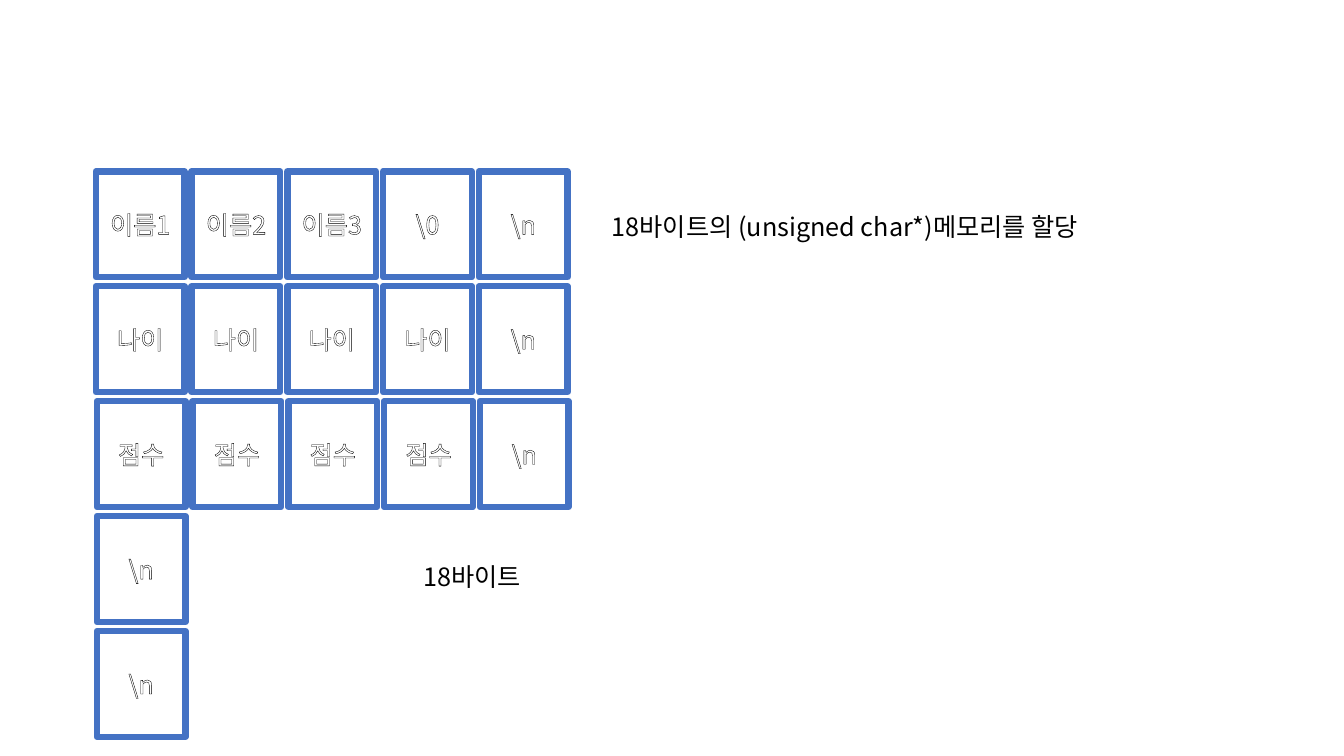
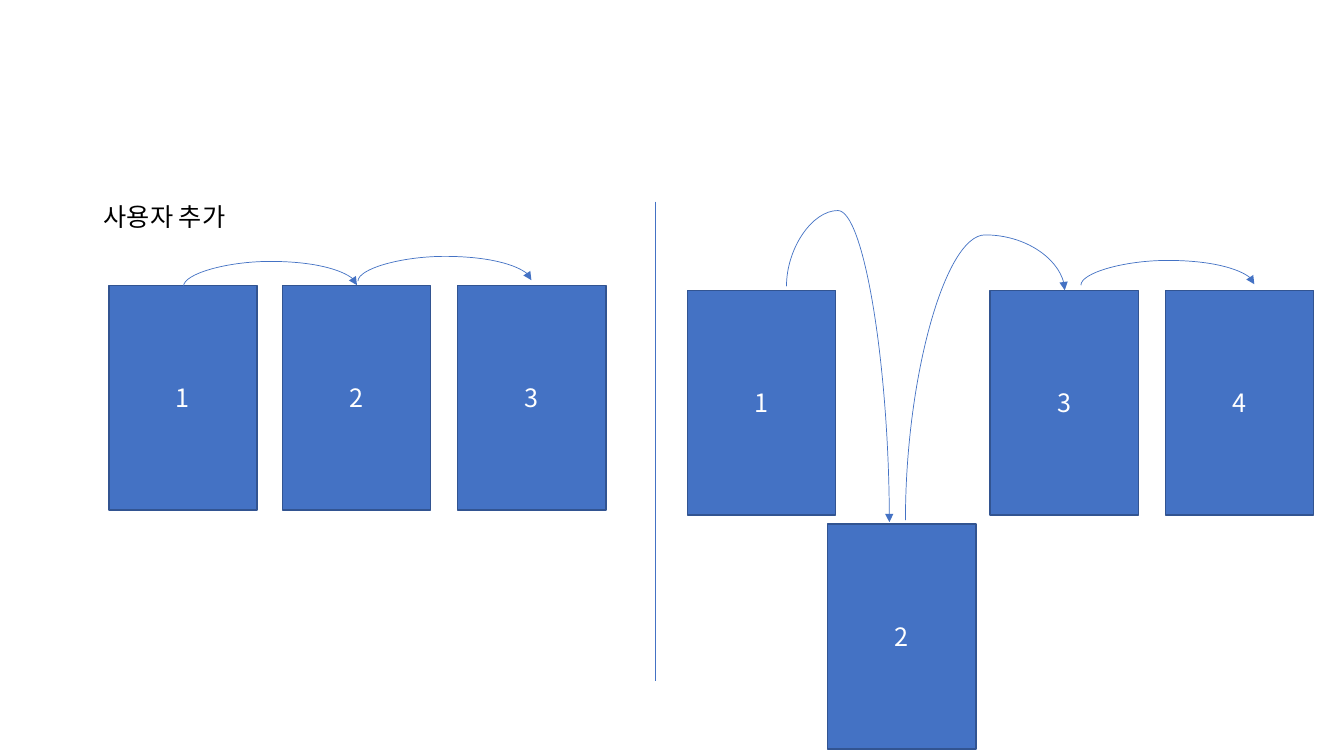
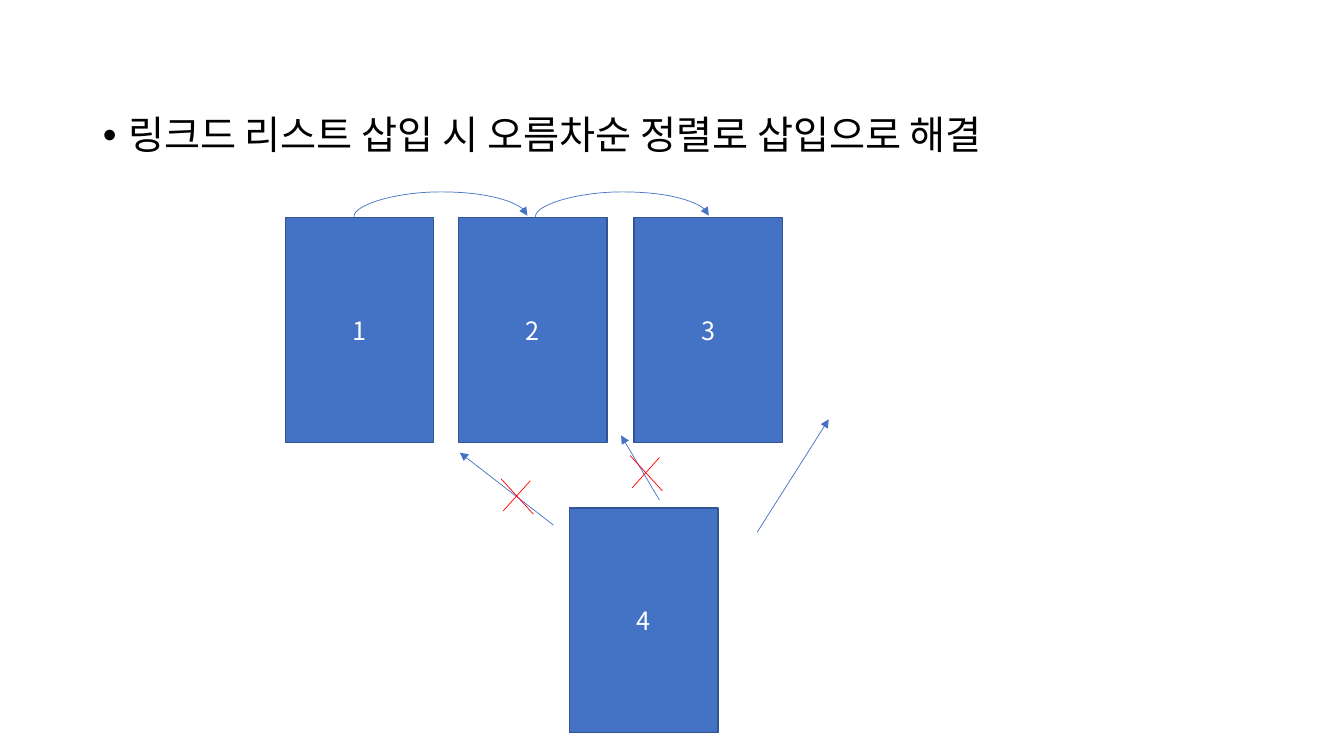
"""Build three slides on byte layout and linked list insertion."""
from lxml import etree
from pptx import Presentation
from pptx.dml.color import RGBColor
from pptx.enum.shapes import MSO_CONNECTOR, MSO_SHAPE
from pptx.enum.text import MSO_ANCHOR, MSO_AUTO_SIZE, PP_ALIGN
from pptx.oxml.ns import qn
from pptx.util import Inches, Pt

RECTANGLE = MSO_SHAPE.RECTANGLE
STRAIGHT, CURVE = MSO_CONNECTOR.STRAIGHT, MSO_CONNECTOR.CURVE
CENTER, MIDDLE, TOP = PP_ALIGN.CENTER, MSO_ANCHOR.MIDDLE, MSO_ANCHOR.TOP
GROW, FIXED = MSO_AUTO_SIZE.SHAPE_TO_FIT_TEXT, MSO_AUTO_SIZE.NONE

FONT = "Noto Sans CJK KR"
BLUE = RGBColor(0x44, 0x72, 0xC4)
DARK_BLUE = RGBColor(0x32, 0x54, 0x91)
RED = RGBColor(0xFF, 0x00, 0x00)
WHITE = RGBColor(0xFF, 0xFF, 0xFF)
BLACK = RGBColor(0x00, 0x00, 0x00)

CELL_SIZE = (0.88, 1.05)
CELL_PITCH = (0.95, 1.14)
CELL_TOP = 1.7
NODE_SIZE = (1.47, 2.23)
ARC_SPAN, ARC_DROP, ARC_HEIGHT = 1.72, 0.01, 0.25

MEMORY_ROWS = [
    (0.95, ["이름1", "이름2", "이름3", "\\0", "\\n"]),
    (0.95, ["나이"] * 4 + ["\\n"]),
    (0.96, ["점수"] * 4 + ["\\n"]),
    (0.96, ["\\n"]),
    (0.96, ["\\n"]),
]
MEMORY_LABELS = [
    ("18바이트", 4.1, 5.52, 1.41),
    ("18바이트의 (unsigned char*)메모리를 할당", 5.97, 2.05, 6.43),
]

ADD_LABEL = ("사용자 추가", 0.93, 1.95, 5.22)
ADD_NODES = [
    ("1", 1.08, 2.83), ("2", 2.8, 2.83), ("3", 4.54, 2.83),
    ("1", 6.82, 2.88), ("3", 9.82, 2.88), ("4", 11.56, 2.88),
    ("2", 8.21, 5.2),
]
ADD_ARCS = [(1.82, 2.84), (3.55, 2.79), (10.72, 2.83)]
DETOURS = [
    ((7.8, 2.84), (8.82, 5.18), 2.09),
    ((8.98, 5.16), (10.56, 2.88), 2.33),
]
DIVIDER = ((6.5, 2), (6.5, 6.76))

SORT_TEXT = "링크드 리스트 삽입 시 오름차순 정렬로 삽입으로 해결"
SORT_NODES = [("1", 2.83, 2.16), ("2", 4.55, 2.16), ("3", 6.29, 2.16),
              ("4", 5.65, 5.04)]
SORT_ARCS = [(3.51, 2.15), (5.31, 2.15)]
SORT_ARROWS = [
    ((5.49, 5.21), (4.56, 4.49)),
    ((6.54, 4.96), (6.16, 4.32)),
    ((7.51, 5.28), (8.22, 4.16)),
]
CROSSES = [(4.97, 4.75), (6.25, 4.52)]
CROSS_STROKES = [((0.29, 0.02), (0.02, 0.32)), ((0.32, 0.35), (0, 0))]


def format_text(frame, text, color, size=18):
    """Write one paragraph and return it with its run."""
    frame.text = text
    para = frame.paragraphs[0]
    span = para.runs[0]
    span.font.size = Pt(size)
    span.font.color.rgb = color
    span.font.name = FONT
    etree.SubElement(span.font._element, qn("a:ea"), typeface=FONT)
    return para, span


def add_box(page, text, left, top, size):
    """Add a rectangle with centred white text and return it with its run."""
    box = page.shapes.add_shape(RECTANGLE, *map(Inches, (left, top, *size)))
    box.shadow.inherit = False
    box.text_frame.vertical_anchor = MIDDLE
    para, span = format_text(box.text_frame, text, WHITE)
    para.alignment = CENTER
    return box, span


def add_cell(page, text, left, top):
    """Add an unfilled memory cell with outlined letters."""
    cell, span = add_box(page, text, left, top, CELL_SIZE)
    cell.fill.background()
    cell.line.color.rgb = BLUE
    cell.line.width = Pt(4.5)
    cell.text_frame.margin_left = cell.text_frame.margin_right = Inches(0.05)
    outline = etree.Element(qn("a:ln"), w=str(Pt(0.75)))
    fill = etree.SubElement(outline, qn("a:solidFill"))
    etree.SubElement(fill, qn("a:srgbClr"), val=str(BLACK))
    span.font._element.insert(0, outline)


def add_node(page, text, left, top):
    """Add a filled list node."""
    node, _ = add_box(page, text, left, top, NODE_SIZE)
    node.fill.solid()
    node.fill.fore_color.rgb = BLUE
    node.line.color.rgb = DARK_BLUE
    node.line.width = Pt(1)


def add_label(page, text, left, top, width):
    """Add a black text label."""
    label = page.shapes.add_textbox(*map(Inches, (left, top, width, 0.4)))
    label.text_frame.word_wrap = True
    label.text_frame.auto_size = GROW
    format_text(label.text_frame, text, BLACK)


def add_line(page, start, end, color=BLUE, arrow=False, kind=STRAIGHT):
    """Add a thin connector, with an arrowhead at its end if asked."""
    line = page.shapes.add_connector(kind, *map(Inches, (*start, *end)))
    line.line.color.rgb = color
    line.line.width = Pt(0.5)
    properties = line._element.spPr
    if arrow:
        stroke = properties.find(qn("a:ln"))
        etree.SubElement(stroke, qn("a:tailEnd"), type="triangle")
    etree.SubElement(properties, qn("a:effectLst"))
    return line


def add_curve(page, start, end, apex):
    """Add a curved arrow that rises to the apex height between its ends."""
    (x1, y1), (x2, y2) = start, end
    middle_x, middle_y = (x1 + x2) / 2, (y1 + y2) / 2
    half_width, half_height = abs(y2 - y1) / 2, (x2 - x1) / 2
    curve = add_line(page, (middle_x - half_width, middle_y - half_height),
                     (middle_x + half_width, middle_y + half_height),
                     arrow=True, kind=CURVE)
    rising = y2 < y1
    frame = curve._element.spPr.find(qn("a:xfrm"))
    frame.set("rot", str((90 if rising else 270) * 60000))
    frame.set("flipH", "1")
    if rising:
        frame.set("flipV", "1")
    bend = round((y1 - apex) / (y1 - y2) * 100000)
    guides = next(curve._element.iter(qn("a:avLst")))
    etree.SubElement(guides, qn("a:gd"), name="adj1", fmla=f"val {bend}")


def add_chain(page, nodes, arcs):
    """Add list nodes and the equal arcs that link neighbours."""
    for node in nodes:
        add_node(page, *node)
    for x, y in arcs:
        add_curve(page, (x, y), (x + ARC_SPAN, y - ARC_DROP), y - ARC_HEIGHT)


def build_memory(page):
    """Show the byte grid."""
    for row, (left, texts) in enumerate(MEMORY_ROWS):
        for column, text in enumerate(texts):
            add_cell(page, text, left + column * CELL_PITCH[0],
                     CELL_TOP + row * CELL_PITCH[1])
    for label in MEMORY_LABELS:
        add_label(page, *label)


def build_insertion(page):
    """Show the list before and after a user is added."""
    add_chain(page, ADD_NODES, ADD_ARCS)
    add_line(page, *DIVIDER)
    add_label(page, *ADD_LABEL)
    for detour in DETOURS:
        add_curve(page, *detour)


def build_sorting(page):
    """Show insertion in ascending order."""
    title = page.shapes.title
    title._element.getparent().remove(title._element)
    body = page.placeholders[1]
    body.left, body.top, body.width, body.height = map(
        Inches, (0.92, 1.1, 11.5, 4.76))
    body.text_frame.auto_size = FIXED
    body.text_frame.vertical_anchor = TOP
    para, _ = format_text(body.text_frame, SORT_TEXT, BLACK, 28)
    para.line_spacing = 0.9
    para.space_before = Pt(10)
    bullet = para._p.get_or_add_pPr()
    bullet.set("marL", str(Inches(0.25)))
    bullet.set("indent", str(Inches(-0.25)))
    etree.SubElement(bullet, qn("a:buFont"), typeface="Arial")
    etree.SubElement(bullet, qn("a:buChar"), char="•")
    add_chain(page, SORT_NODES, SORT_ARCS)
    for start, end in SORT_ARROWS:
        add_line(page, start, end, arrow=True)
    for left, top in CROSSES:
        for stroke in CROSS_STROKES:
            add_line(page, *[(left + x, top + y) for x, y in stroke], RED)


def main():
    """Build and save the deck."""
    deck = Presentation()
    deck.slide_width, deck.slide_height = Inches(13.33), Inches(7.5)
    content, blank = deck.slide_layouts[1], deck.slide_layouts[6]
    for layout, build in [(blank, build_memory), (blank, build_insertion),
                          (content, build_sorting)]:
        build(deck.slides.add_slide(layout))
    deck.save("out.pptx")


if __name__ == "__main__":
    main()
